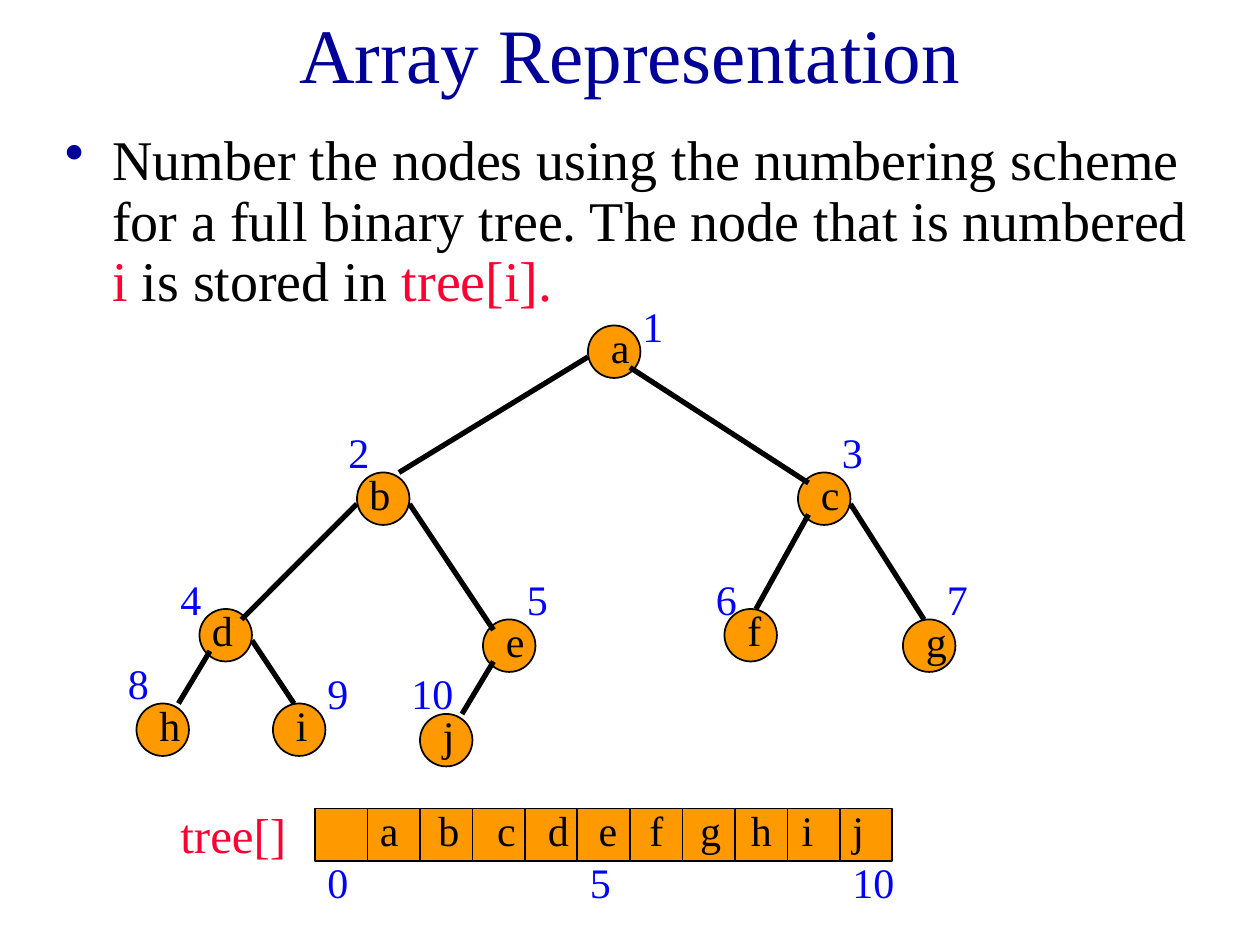
from lxml.etree import SubElement
from pptx import Presentation
from pptx.dml.color import RGBColor
from pptx.enum.shapes import MSO_CONNECTOR as Connector, MSO_SHAPE as Shape
from pptx.enum.text import MSO_ANCHOR as Anchor, PP_ALIGN as Align
from pptx.oxml.ns import qn
from pptx.util import Pt

NAVY, RED, BLUE, BLACK, ORANGE = "000099", "FF0033", "0000FF", "000000", "FF9900"


def color(value):
    return RGBColor.from_string(value)


def add_run(paragraph, text, size=24, fill=BLACK, font="Times New Roman"):
    run = paragraph.add_run()
    run.text = text
    run.font.name = font
    run.font.size = Pt(size)
    run.font.color.rgb = color(fill)


def add_bullet(paragraph, fill, indent):
    properties = paragraph._p.get_or_add_pPr()
    properties.set("marL", str(Pt(indent)))
    properties.set("indent", str(-Pt(indent)))
    bullet_color = SubElement(properties, qn("a:buClr"))
    SubElement(bullet_color, qn("a:srgbClr"), val=fill)
    SubElement(properties, qn("a:buChar"), char="\u2022")


class TreeSlide:
    cell = 30
    label_height = 36
    outline = 1
    edge_width = 3

    def __init__(self, presentation):
        self.shapes = presentation.slides.add_slide(presentation.slide_layouts[6]).shapes

    def text(self, runs, left, top, width=30, height=label_height,
             align=Align.LEFT, anchor=Anchor.TOP, **style):
        box = self.shapes.add_textbox(Pt(left), Pt(top), Pt(width), Pt(height))
        frame = box.text_frame
        frame.word_wrap = True
        frame.vertical_anchor = anchor
        paragraph = frame.paragraphs[0]
        paragraph.alignment = align
        for text, fill in runs:
            add_run(paragraph, text, fill=fill, **style)
        return paragraph

    def block(self, kind, left, top):
        shape = self.shapes.add_shape(kind, Pt(left), Pt(top), Pt(self.cell), Pt(self.cell))
        shape.shadow.inherit = False
        shape.fill.solid()
        shape.fill.fore_color.rgb = color(ORANGE)
        shape.line.color.rgb = color(BLACK)
        shape.line.width = Pt(self.outline)

    def edge(self, *ends):
        line = self.shapes.add_connector(Connector.STRAIGHT, *map(Pt, ends))
        line.line.color.rgb = color(BLACK)
        line.line.width = Pt(self.edge_width)
        SubElement(line._element.spPr, qn("a:effectLst"))


presentation = Presentation()
presentation.slide_width, presentation.slide_height = Pt(720), Pt(540)
slide = TreeSlide(presentation)

slide.text([("Array Representation", NAVY)], 54, 0, 612, 60,
           align=Align.CENTER, anchor=Anchor.MIDDLE, size=44)
statement = slide.text([
    ("Number the nodes using the numbering scheme for a full binary tree. "
     "The node that is numbered ", BLACK),
    ("i", RED), (" is stored in ", BLACK), ("tree[i].", RED),
], 30, 72, 660, 114, size=32)
statement.line_spacing = 0.9
add_bullet(statement, NAVY, 27)

array_left, array_top = 180, 462
for index in range(11):
    slide.block(Shape.RECTANGLE, array_left + index * slide.cell, array_top)
slide.text([("tree[]", RED)], 96, 456, 90, 41, size=28)
for index in (0, 5, 10):
    slide.text([(str(index), BLUE)], array_left + index * slide.cell, 486, 48)

letter_lefts = [210, 243.5] + [277 + 29 * step for step in range(8)]
for letter, left in zip("abcdefghij", letter_lefts):
    slide.text([(letter, BLACK)], left, array_top - 6)

# fmt: off
nodes = [
    ("a", 336, 186, 6, 360, 168),
    ("b", 204, 270, 0, 192, 240),
    ("c", 456, 270, 6, 474, 240),
    ("d", 114, 348, 0, 96, 324),
    ("e", 276, 354, 6, 294, 324),
    ("f", 414, 348, 6, 402, 324),
    ("g", 516, 354, 6, 534, 324),
    ("h", 78, 402, 6, 66, 372),
    ("i", 156, 402, 6, 180, 378),
    ("j", 240, 408, 6, 228, 378),
]
edges = [
    (336, 204, 228, 270), (360, 210, 462, 276),
    (204, 288, 138, 354), (234, 288, 282, 360),
    (462, 294, 432, 348), (486, 288, 528, 354),
    (120, 372, 102, 402), (144, 366, 168, 402),
    (282, 378, 264, 408),
]
for letter, left, top, *rest in nodes:
    slide.block(Shape.OVAL, left, top)
for ends in edges:
    slide.edge(*ends)
for number, (letter, left, top, shift, number_left, number_top) in enumerate(nodes, 1):
    slide.text([(letter, BLACK)], left + shift, top - 6)
    slide.text([(str(number), BLUE)], number_left, number_top, 48 if number > 9 else 30)

presentation.save("out.pptx")
